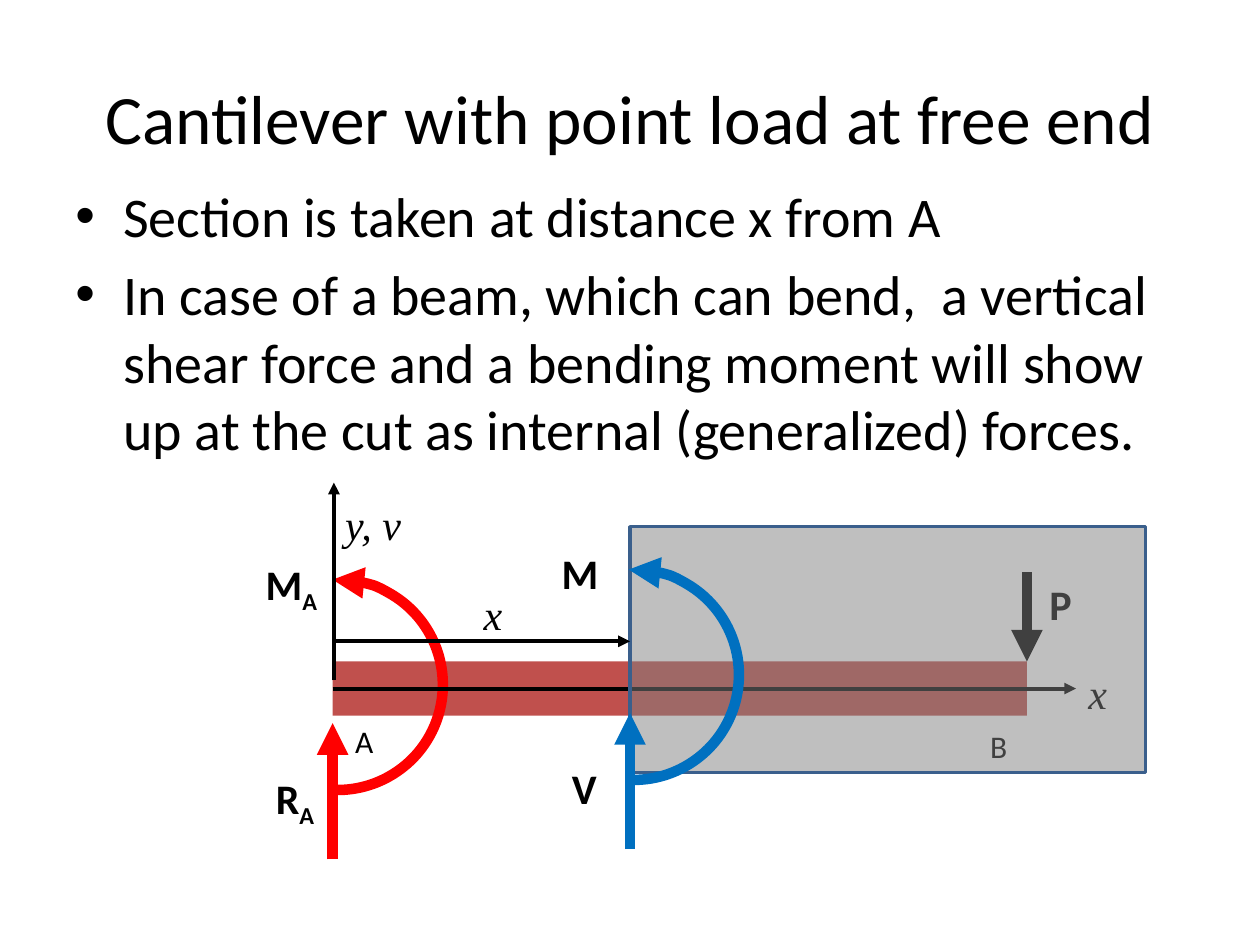
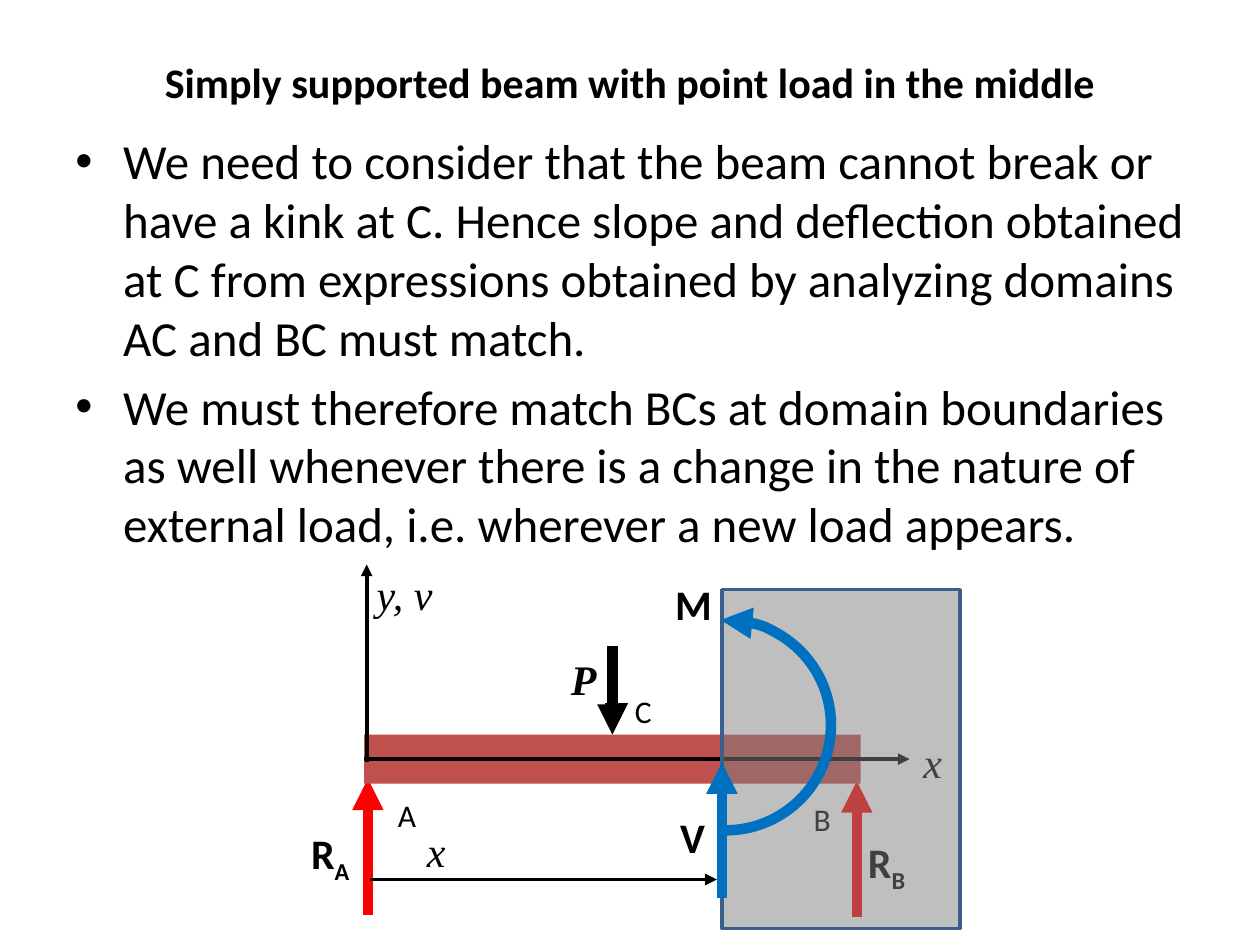
from dataclasses import dataclass
from typing import Optional

from lxml.etree import SubElement
from pptx import Presentation
from pptx.dml.color import RGBColor
from pptx.enum.shapes import MSO_CONNECTOR, MSO_SHAPE
from pptx.enum.text import MSO_ANCHOR, MSO_AUTO_SIZE, PP_ALIGN
from pptx.oxml.ns import qn
from pptx.util import Inches, Pt


@dataclass(frozen=True)
class Theme:
    black: RGBColor = RGBColor(0, 0, 0)
    white: RGBColor = RGBColor(255, 255, 255)
    beam: RGBColor = RGBColor.from_string("C0504D")
    reaction: RGBColor = RGBColor.from_string("FF0000")
    internal: RGBColor = RGBColor.from_string("0070C0")
    shade: RGBColor = RGBColor.from_string("808080")
    shade_border: RGBColor = RGBColor.from_string("3A5F8C")
    thin: float = 2.25
    thick: float = 6
    border: float = 2
    body_font: str = "Calibri"


THEME = Theme()
POINT = {"name": THEME.body_font, "size": Pt(18)}
FORCE = {"name": THEME.body_font, "size": Pt(24), "bold": True}
AXIS = {"name": "Times New Roman", "size": Pt(24), "italic": True}
LOAD = {**AXIS, "bold": True}

ARC_RADIUS = 0.835
ARC_START, ARC_END = 267.3, 91.4
FORCE_LENGTH = 1.08


@dataclass
class Box:
    left: float
    top: float
    width: float
    height: float

    def lengths(self) -> list:
        return [Inches(value) for value in (self.left, self.top, self.width, self.height)]

    @property
    def middle_x(self) -> float:
        return self.left + self.width / 2

    @property
    def middle_y(self) -> float:
        return self.top + self.height / 2


@dataclass
class Label:
    text: str
    left: float
    top: float
    width: float
    style: dict
    subscript: str = ""


@dataclass
class Arrow:
    start: tuple
    end: tuple
    color: RGBColor = THEME.black
    width: float = THEME.thin


def apply_format(target, values: dict) -> None:
    for name, value in values.items():
        setattr(target, name, value)


def add_run(paragraph, text: str, style: dict):
    run = paragraph.add_run()
    run.text = text
    apply_format(run.font, style)
    run.font.color.rgb = THEME.black
    return run


def set_line(shape, color: RGBColor, width: float, arrowhead: Optional[str] = None) -> None:
    """arrowhead is headEnd for the start of the line, tailEnd for its end."""
    shape.line.color.rgb = color
    shape.line.width = Pt(width)
    if arrowhead:
        SubElement(shape._element.spPr.find(qn("a:ln")), qn(f"a:{arrowhead}"), type="triangle")


def draw_title(slide, text: str, box: Box, style: dict) -> None:
    frame = slide.shapes.add_textbox(*box.lengths()).text_frame
    apply_format(frame, {"word_wrap": True, "vertical_anchor": MSO_ANCHOR.MIDDLE})
    paragraph = frame.paragraphs[0]
    paragraph.alignment = PP_ALIGN.CENTER
    add_run(paragraph, text, {"name": THEME.body_font, **style})


def draw_bullets(slide, texts: list, box: Box, size: float) -> None:
    frame = slide.shapes.add_textbox(*box.lengths()).text_frame
    frame.word_wrap = True
    indent = Inches(0.38)
    for index, text in enumerate(texts):
        paragraph = frame.add_paragraph() if index else frame.paragraphs[0]
        if index:
            paragraph.space_before = Pt(size * 0.2)
        properties = paragraph._p.get_or_add_pPr()
        properties.set("marL", str(indent))
        properties.set("indent", str(-indent))
        SubElement(properties, qn("a:buFont"), typeface="Arial")
        SubElement(properties, qn("a:buChar"), char="•")
        add_run(paragraph, text, {"name": THEME.body_font, "size": Pt(size)})


def draw_label(slide, label: Label) -> None:
    box = Box(label.left, label.top, label.width, 0.4 if label.style is POINT else 0.5)
    frame = slide.shapes.add_textbox(*box.lengths()).text_frame
    apply_format(frame, {"word_wrap": True, "auto_size": MSO_AUTO_SIZE.SHAPE_TO_FIT_TEXT})
    paragraph = frame.paragraphs[0]
    add_run(paragraph, label.text, label.style)
    if label.subscript:
        run = add_run(paragraph, label.subscript, label.style)
        run._r.get_or_add_rPr().set("baseline", "-25000")


def draw_labels(slide, *labels: Label) -> None:
    for label in labels:
        draw_label(slide, label)


def draw_arrow(slide, arrow: Arrow):
    points = [Inches(value) for value in (*arrow.start, *arrow.end)]
    connector = slide.shapes.add_connector(MSO_CONNECTOR.STRAIGHT, *points)
    set_line(connector, arrow.color, arrow.width, "tailEnd")
    SubElement(connector._element.spPr, qn("a:effectLst"))
    return connector


def draw_rectangle(slide, box: Box, color: RGBColor):
    shape = slide.shapes.add_shape(MSO_SHAPE.RECTANGLE, *box.lengths())
    shape.shadow.inherit = False
    shape.fill.solid()
    shape.fill.fore_color.rgb = color
    shape.line.fill.background()
    return shape


def draw_moment(slide, center_x: float, top: float, color: RGBColor) -> None:
    """Half-circle arrow bulging to the right."""
    box = Box(center_x - ARC_RADIUS, top, 2 * ARC_RADIUS, 2 * ARC_RADIUS)
    arc = slide.shapes.add_shape(MSO_SHAPE.ARC, *box.lengths())
    arc.shadow.inherit = False
    for index, degrees in enumerate((ARC_START, ARC_END)):
        arc.adjustments[index] = degrees * 0.6
    arc.fill.background()
    set_line(arc, color, THEME.thick, "headEnd")


def draw_force_up(slide, x: float, tip: float, color: RGBColor) -> None:
    draw_arrow(slide, Arrow((x, tip + FORCE_LENGTH), (x, tip), color, THEME.thick))


def draw_reaction(slide, support: str, x: float, tip: float,
                  label_offset: tuple = (-0.55, 0.34)) -> None:
    draw_force_up(slide, x, tip, THEME.reaction)
    shift_x, shift_y = label_offset
    draw_label(slide, Label("R", x + shift_x, tip + shift_y, 0.59, FORCE, support))


def draw_axes(slide, beam, beam_box: Box, y_axis: Arrow, x_end: float) -> None:
    draw_arrow(slide, y_axis)
    middle = beam_box.middle_y
    x_axis = draw_arrow(slide, Arrow((beam_box.left, middle), (x_end, middle)))
    x_axis.begin_connect(beam, 1)


def draw_section(slide, removed: Box, shear_tip: float, moment_top: float,
                 shear_label: tuple, moment_label: tuple) -> None:
    """Shade the removed part and show the internal forces at the cut."""
    shade = draw_rectangle(slide, removed, THEME.shade)
    color = shade._element.spPr.find(f"{qn('a:solidFill')}/{qn('a:srgbClr')}")
    SubElement(color, qn("a:alpha"), val="50000")
    set_line(shade, THEME.shade_border, THEME.border)
    draw_force_up(slide, removed.left, shear_tip, THEME.internal)
    draw_moment(slide, removed.left + 0.03, moment_top, THEME.internal)
    draw_labels(slide, Label("V", *shear_label, 0.59, FORCE),
                Label("M", *moment_label, 0.63, FORCE))


def build_cantilever(slide) -> None:
    draw_title(slide, "Cantilever with point load at free end",
               Box(0.5, 0.3, 9, 1.25), {"size": Pt(39.6)})
    draw_bullets(slide, [
        "Section is taken at distance x from A",
        "In case of a beam, which can bend,  a vertical shear force and a bending moment "
        "will show up at the cut as internal (generalized) forces.",
    ], Box(0.5, 1.39, 9, 4.95), 32)

    beam_box = Box(2.64, 5.25, 5.51, 0.43)
    beam = draw_rectangle(slide, beam_box, THEME.beam)
    free_end = beam_box.left + beam_box.width
    draw_arrow(slide, Arrow((free_end, 4.54), (free_end, beam_box.top), width=THEME.thick))
    draw_labels(slide, Label("A", 2.72, 5.68, 0.39, POINT),
                Label("B", 7.76, 5.72, 0.39, POINT),
                Label("P", 8.23, 4.54, 0.39, FORCE))
    draw_reaction(slide, "A", beam_box.left, 5.74)
    draw_moment(slide, 2.68, 4.6, THEME.reaction)
    draw_label(slide, Label("M", 2.01, 4.38, 0.63, FORCE, "A"))
    draw_axes(slide, beam, beam_box, Arrow((2.65, 5.4), (2.65, 3.83)), 8.54)
    draw_labels(slide, Label("y, v", 2.64, 3.91, 0.79, AXIS),
                Label("x", 8.54, 5.25, 0.39, AXIS))
    draw_section(slide, Box(5, 4.18, 4.09, 1.95), 5.66, 4.52, (4.44, 6), (4.36, 4.3))
    draw_arrow(slide, Arrow((2.64, 5.09), (5, 5.09)))
    draw_label(slide, Label("x", 3.74, 4.62, 0.39, AXIS))


def draw_load_name(slide, box: Box) -> None:
    frame = draw_rectangle(slide, box, THEME.white).text_frame
    apply_format(frame, {"margin_left": Inches(0.08), "margin_right": 0, "margin_top": 0,
                         "margin_bottom": 0, "vertical_anchor": MSO_ANCHOR.TOP})
    frame.paragraphs[0].alignment = PP_ALIGN.LEFT
    add_run(frame.paragraphs[0], "P", LOAD)


def build_simply_supported(slide) -> None:
    draw_title(slide, "Simply supported beam with point load in the middle",
               Box(0.5, 0.3, 9, 0.69), {"size": Pt(24), "bold": True})
    draw_bullets(slide, [
        "We need to consider that the beam cannot break or have a kink at C. Hence slope and "
        "deflection obtained at C from expressions obtained by analyzing domains AC and BC "
        "must match.",
        "We must therefore match BCs at domain boundaries as well whenever there is a change "
        "in the nature of external load, i.e. wherever a new load appears.",
    ], Box(0.5, 0.99, 9, 5.71), 28)

    draw_labels(slide, Label("y, v", 2.89, 4.46, 0.79, AXIS),
                Label("x", 7.23, 5.8, 0.39, AXIS))
    draw_reaction(slide, "A", 2.92, 6.18)
    draw_reaction(slide, "B", 6.8, 6.2, (-0.01, 0.39))
    beam_box = Box(2.89, 5.83, 3.94, 0.39)
    beam = draw_rectangle(slide, beam_box, THEME.beam)
    middle = beam_box.middle_x
    load = draw_arrow(slide, Arrow((middle, 5.13), (middle, beam_box.top), width=THEME.thick))
    load.end_connect(beam, 0)
    draw_load_name(slide, Box(4.45, 5.19, 0.35, 0.4))
    draw_labels(slide, Label("A", 3.06, 6.27, 0.39, POINT),
                Label("B", 6.36, 6.3, 0.39, POINT),
                Label("C", 4.94, 5.44, 0.39, POINT))
    draw_axes(slide, beam, beam_box, Arrow((2.91, 6.05), (2.91, 4.48)), 7.22)
    draw_section(slide, Box(5.73, 4.68, 1.89, 2.69), 6.05, 4.92, (5.3, 6.39), (5.26, 4.54))
    draw_arrow(slide, Arrow((2.94, 6.98), (5.69, 6.98)))
    draw_label(slide, Label("x", 3.29, 6.5, 0.39, AXIS))


def main() -> None:
    presentation = Presentation()
    presentation.slide_width = Inches(10)
    presentation.slide_height = Inches(7.5)
    blank_layout = presentation.slide_layouts[6]
    for build in (build_cantilever, build_simply_supported):
        build(presentation.slides.add_slide(blank_layout))
    presentation.save("out.pptx")


if __name__ == "__main__":
    main()
